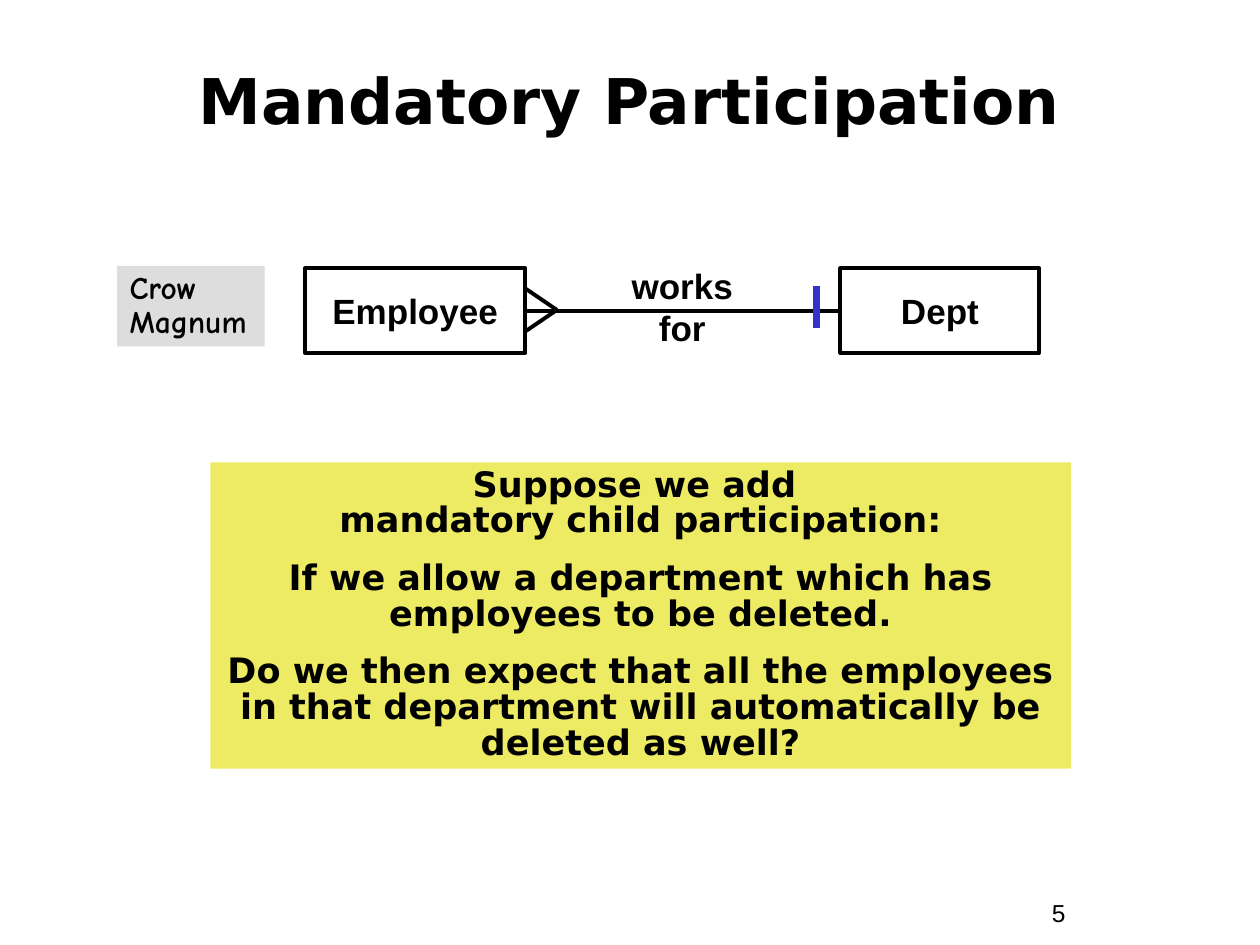
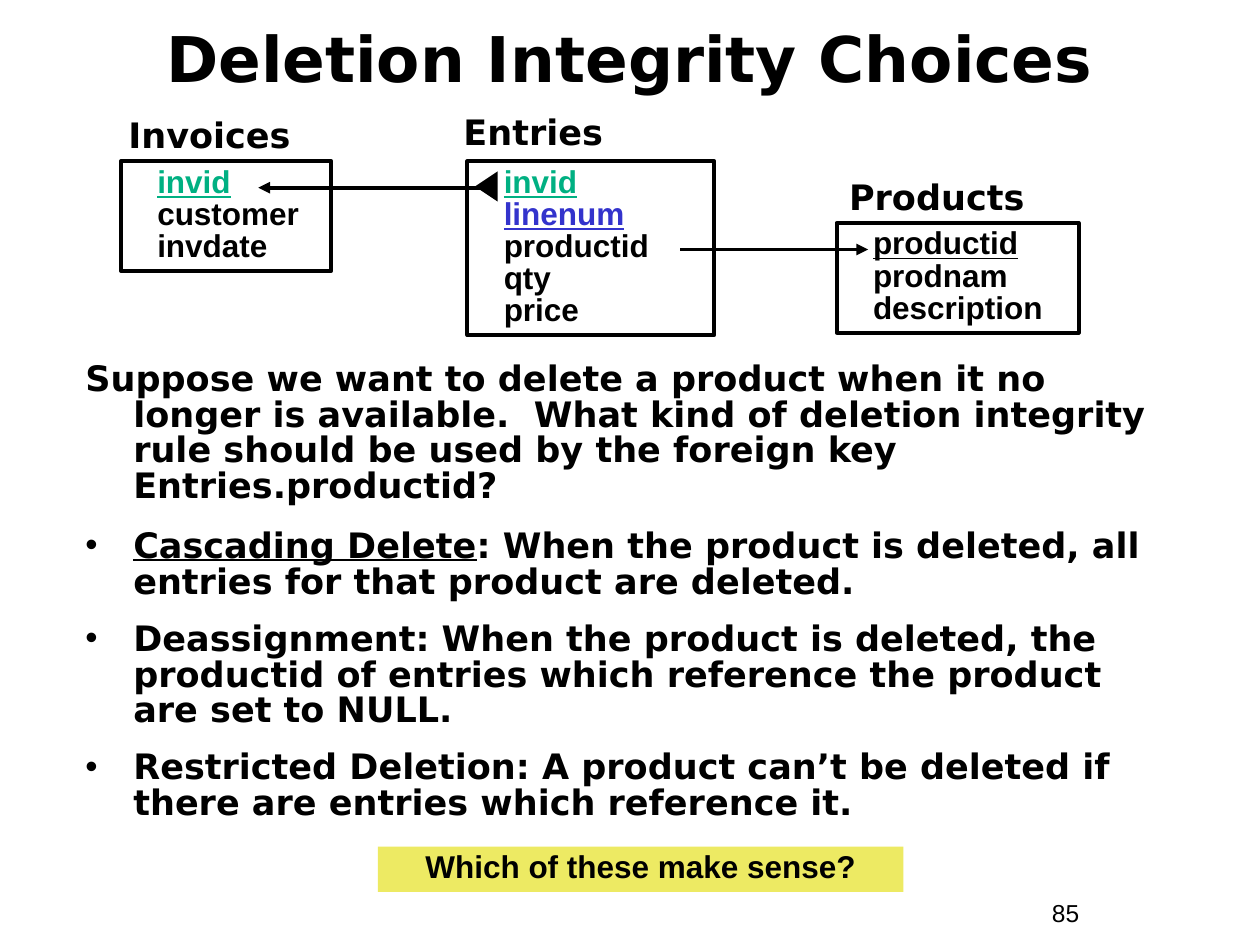
from lxml import etree
from pptx import Presentation
from pptx.dml.color import RGBColor
from pptx.enum.shapes import MSO_CONNECTOR, MSO_SHAPE
from pptx.enum.text import MSO_ANCHOR, MSO_AUTO_SIZE, PP_ALIGN
from pptx.oxml.ns import qn
from pptx.util import Inches, Pt

COLORS = {"black": "000000", "blue": "3333CC", "green": "00B082",
          "yellow": "EDEA63", "gray": "DDDDDD"}
SANS, HEADING, HAND = "Arial", "DejaVu Sans", "Comic Neue"
LEFT, CENTER = PP_ALIGN.LEFT, PP_ALIGN.CENTER
TOP, MIDDLE = MSO_ANCHOR.TOP, MSO_ANCHOR.MIDDLE
RECT, TRIANGLE = MSO_SHAPE.RECTANGLE, MSO_SHAPE.ISOSCELES_TRIANGLE
STRAIGHT, NO_FIT = MSO_CONNECTOR.STRAIGHT, MSO_AUTO_SIZE.NONE
BORDER = 2.25
HANG = 0.38
TITLE_ONLY = 5


def rgb(name):
    return RGBColor.from_string(COLORS[name])


def inches(values):
    return [Inches(v) for v in values]


class Deck:
    """Holds the shared style and the slide being built."""

    def __init__(self):
        self.prs = Presentation()
        self.prs.slide_width, self.prs.slide_height = Inches(10), Inches(7.5)
        self.s = None

    def slide(self, title, number, top, height):
        self.s = self.prs.slides.add_slide(self.prs.slide_layouts[TITLE_ONLY])
        sp = self.s.shapes.title
        sp.left, sp.top, sp.width, sp.height = inches((0.33, top, 9.33, height))
        self.fill_text(sp, [title], size=36, font=HEADING, align=CENTER, anchor=MIDDLE)
        self.text((8.25, 7.08, 0.92, 0.34), [str(number)], size=14, bold=False)

    def fill_text(self, sp, paragraphs, size=20, font=SANS, bold=True, align=LEFT,
                  anchor=TOP, spacing=1.0, gaps=(), margin=0, hang=0):
        tf = sp.text_frame
        tf.word_wrap, tf.auto_size, tf.vertical_anchor = True, NO_FIT, anchor
        for i, runs in enumerate(paragraphs):
            p = tf.paragraphs[0] if i == 0 else tf.add_paragraph()
            p.alignment, p.line_spacing = align, spacing
            p.space_before = Pt(gaps[i - 1] if i and gaps else 0)
            if margin:
                pPr = p._p.get_or_add_pPr()
                pPr.set("marL", str(Inches(margin)))
                pPr.set("indent", str(-Inches(hang)))
            if isinstance(runs, str):
                runs = [(runs, "black", False)]
            p.text = runs[0][0]
            for extra in runs[1:]:
                p.add_run().text = extra[0]
            styles = runs if len(runs) > 1 else runs * len(p.runs)
            for r, (_, color, underline) in zip(p.runs, styles):
                r.font.name, r.font.size, r.font.bold = font, Pt(size), bold
                r.font.color.rgb = rgb(color)
                r.font.underline = underline
        return tf

    def text(self, box, paragraphs, **style):
        return self.fill_text(self.s.shapes.add_textbox(*inches(box)), paragraphs, **style)

    def shape(self, box, kind=RECT, fill=None, line=None):
        sp = self.s.shapes.add_shape(kind, *inches(box))
        sp.shadow.inherit = False
        if fill:
            sp.fill.solid()
            sp.fill.fore_color.rgb = rgb(fill)
        else:
            sp.fill.background()
        if line:
            sp.line.color.rgb, sp.line.width = rgb(line), Pt(BORDER)
        else:
            sp.line.fill.background()
        return sp

    def panel(self, box, paragraphs, fill=None, line=None, **style):
        sp = self.shape(box, fill=fill, line=line)
        self.fill_text(sp, paragraphs, **style)
        return sp

    def line(self, start, end, color="black", width=BORDER, arrow=False):
        c = self.s.shapes.add_connector(STRAIGHT, *inches(start + end))
        c.line.color.rgb, c.line.width = rgb(color), Pt(width)
        if arrow:
            etree.SubElement(c.line._get_or_add_ln(), qn("a:tailEnd"), type="triangle")
        etree.SubElement(c._element.spPr, qn("a:effectLst"))
        return c

    def bullet(self, p):
        pPr = p._p.get_or_add_pPr()
        etree.SubElement(pPr, qn("a:buFont"), typeface=SANS)
        etree.SubElement(pPr, qn("a:buChar"), char="•")

    def table_box(self, name, label_at, box, fields):
        self.text((*label_at, 2.15, 0.44), [name], font=HEADING)
        self.panel(box, fields, line="black", size=18, spacing=0.85, margin=0.19)


def participation(deck):
    deck.slide("Mandatory Participation", 5, 0.33, 0.92)
    dept, employee = [
        deck.panel((left, 2.13, width, 0.67), [name], line="black",
                   align=CENTER, anchor=MIDDLE)
        for name, left, width in (("Dept", 6.67, 1.58), ("Employee", 2.42, 1.75))]
    works_for = deck.line((6.67, 2.46), (4.17, 2.46))
    works_for.begin_connect(dept, 1)
    works_for.end_connect(employee, 3)
    for toe_y in (2.29, 2.63):
        deck.line((4.42, 2.46), (4.17, toe_y))
    deck.text((4.83, 2.05, 1.17, 0.77), ["works for"], align=CENTER)
    deck.panel((0.93, 2.11, 1.17, 0.64), ["Crow\vMagnum"], fill="gray",
               size=18, font=HAND, spacing=0.9)
    deck.line((6.48, 2.27), (6.48, 2.6), "blue", 4.5)
    deck.panel((1.67, 3.67, 6.83, 2.43), [
        "Suppose we add \vmandatory child participation:",
        "If we allow a department which has employees to be deleted.",
        "Do we then expect that all the employees in that department "
        "will automatically be deleted as well?",
    ], fill="yellow", font=HEADING, align=CENTER, spacing=0.85, gaps=(12.5, 12.5))


def deletion(deck):
    deck.slide("Deletion Integrity Choices", 85, 0.08, 0.75)
    tf = deck.text((0.58, 2.83, 8.67, 4), [
        "Suppose we want to delete a product when it no longer is available.  "
        "What kind of deletion integrity rule should be used by the foreign key "
        "Entries.productid?",
        [("Cascading Delete", "black", True),
         (": When the product is deleted, all entries for that product are deleted.",
          "black", False)],
        "Deassignment: When the product is deleted, the productid of entries "
        "which reference the product are set to NULL.",
        "Restricted Deletion: A product can’t be deleted if there are entries "
        "which reference it.",
    ], font=HEADING, spacing=0.85, gaps=(14, 12.2, 12.2), margin=HANG, hang=HANG)
    for choice in tf.paragraphs[1:]:
        deck.bullet(choice)

    invid = [("invid", "green", True)]
    deck.table_box("Entries", (3.58, 0.83), (3.71, 1.28, 1.96, 1.38),
                   [invid, [("linenum", "blue", True)], "productid", "qty", "price"])
    deck.table_box("Invoices", (0.92, 0.85), (0.96, 1.28, 1.67, 0.87),
                   [invid, "customer", "invdate"])
    deck.table_box("Products", (6.64, 1.34), (6.64, 1.77, 1.92, 0.87),
                   [[("productid", "black", True)], "prodnam", "description"])
    deck.line((3.94, 1.49), (2.05, 1.49), arrow=True)
    deck.line((5.4, 1.98), (6.89, 1.98), arrow=True)
    deck.shape((3.74, 1.39, 0.24, 0.18), TRIANGLE, fill="black").rotation = 270
    deck.panel((3, 6.72, 4.17, 0.36), ["Which of these make sense?"], fill="yellow",
               size=18, align=CENTER, spacing=0.85)


def main():
    deck = Deck()
    participation(deck)
    deletion(deck)
    deck.prs.save("out.pptx")


if __name__ == "__main__":
    main()
